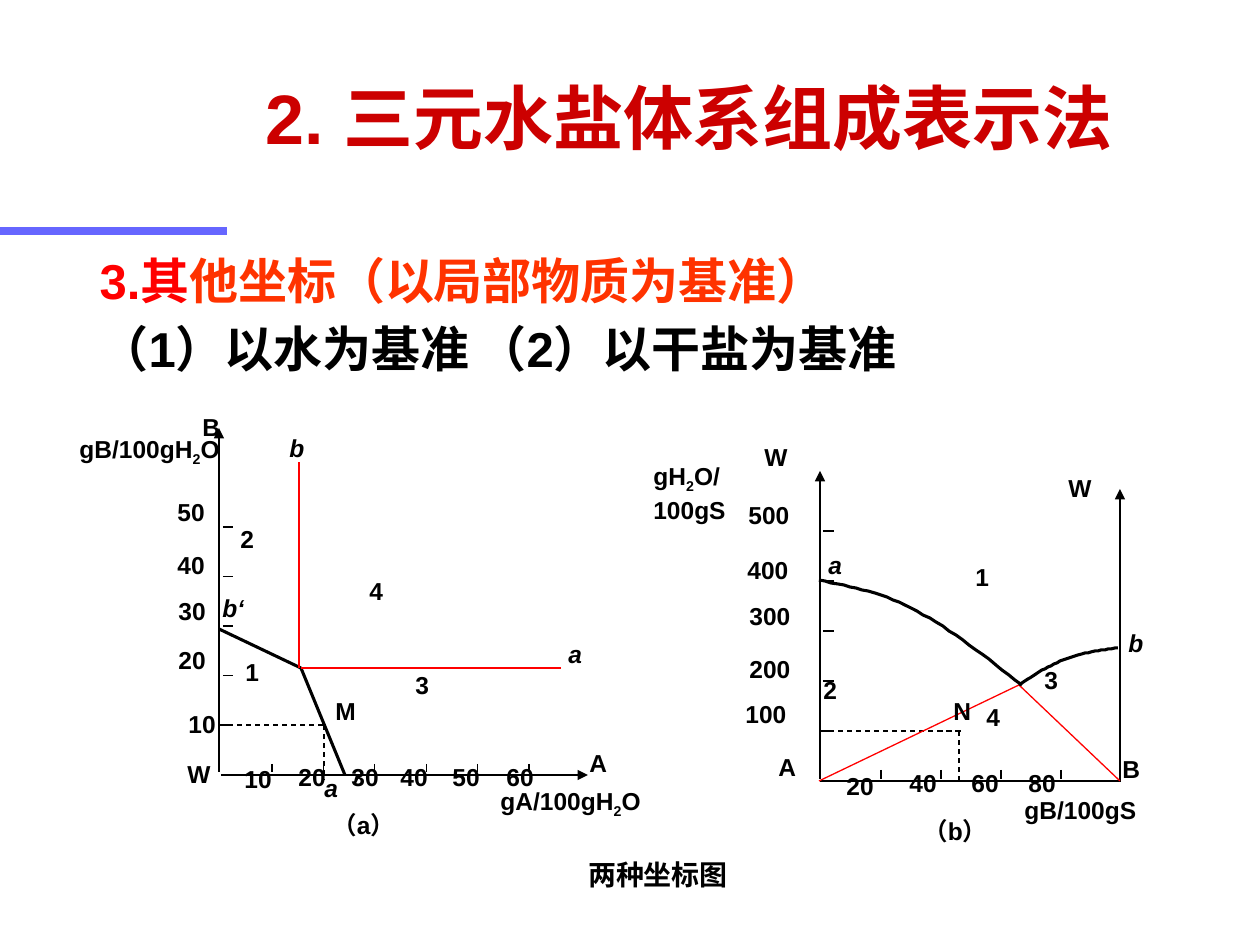
from lxml.etree import SubElement
from pptx import Presentation
from pptx.dml.color import RGBColor
from pptx.enum.dml import MSO_LINE_DASH_STYLE as Dash
from pptx.enum.shapes import MSO_CONNECTOR as Connector
from pptx.enum.text import MSO_ANCHOR as Anchor, MSO_AUTO_SIZE as AutoSize, PP_ALIGN as Align
from pptx.oxml.ns import qn
from pptx.util import Pt

SCALE = 914400 / 126  # EMU per px
THEME = {
    "font": "Arial", "title": "CC0000", "heading": "FF0000", "heading_tail": "FF3300",
    "ink": "000000", "guide": "FF0000", "accent": "6666FF",
    "title_size": 40, "body_size": 28, "caption_size": 16, "label_size": 14,
    "thin": 0.75, "curve": 1.75, "bar": 4.5,
}

# Content: text, with (left, top, width, height) in px
TITLE = ("2. 三元水盐体系组成表示法", (253, 38, 944, 158))
BODY_BOX = (87, 244, 1070, 168)
BODY = [
    [("3.其", "heading"), ("他坐标（以局部物质为基准）", "heading_tail")],
    [("（1）以水为基准\t（2）以干盐为基准", "ink")],
]
BODY_TAB = 447
CAPTION = ("两种坐标图", (537, 851, 242, 48))

# Labels: (text, left, top[, width]); _x_ marks a subscript
LABEL_SIZE = (80, 81)
LABELS = [
    # Diagram a: axes
    ("A", 577, 742), ("B", 190, 406), ("W", 175, 753),
    ("10", 232, 758), ("20", 286, 756), ("30", 339, 756),
    ("40", 388, 756), ("50", 440, 756), ("60", 494, 756),
    ("10", 176, 703), ("20", 166, 639), ("30", 166, 590),
    ("40", 165, 544), ("50", 165, 491),
    ("gA/100gH_2_O", 488, 780, 232), ("gB/100gH_2_O", 67, 428, 179),
    # Diagram a: fields and name
    ("M", 323, 690), ("1", 233, 651), ("2", 228, 518), ("4", 357, 570), ("3", 403, 664),
    ("（a）", 320, 804, 108),
    # Diagram b: axes
    ("A", 766, 746), ("B", 1110, 748), ("W", 752, 436), ("W", 1056, 467),
    ("20", 834, 765), ("40", 897, 762), ("60", 959, 762), ("80", 1016, 762),
    ("100", 733, 693), ("200", 737, 648), ("300", 737, 595),
    ("400", 735, 549), ("500", 736, 494),
    ("gB/100gS", 1012, 789, 179), ("gH_2_O/100gS", 641, 455, 139),
    # Diagram b: fields and name
    ("N", 941, 690), ("1", 963, 556), ("2", 811, 669), ("4", 974, 696), ("3", 1032, 659),
    ("（b）", 911, 810, 127),
]
CURVE_NAMES = [
    ("a", 556, 633), ("b", 277, 427), ("b‘", 210, 587), ("a＇", 312, 767),
    ("a", 816, 544), ("b", 1116, 622),
]

# Lines: (x1, y1, x2, y2)
ARROWS = [(221, 775, 588, 775), (219, 772, 219, 428),
          (820, 779, 820, 471), (1120, 781, 1120, 489)]
BASELINE = (820, 781, 1121, 781)
READINGS = [(219, 725, 326, 725), (324, 725, 324, 780),
            (820, 731, 961, 731), (959, 731, 959, 781)]
SOLUBILITY = [(219, 629, 301, 668), (301, 668, 345, 775)]
GUIDES = [(301, 668, 561, 668), (299, 668, 299, 462),
          (819, 781, 1019, 685), (1019, 685, 1120, 781)]

# Tick rows: x ticks (first x, step, count, top, bottom), y ticks (first y, step, count, left, right)
X_TICKS = [(272, 51.4, 6, 764, 772), (881, 60, 4, 770, 779)]
Y_TICKS = [(725, -49.5, 5, 223, 233), (731, -50, 5, 823, 834)]

# Curves: a start point and its Bézier segments
CURVES = [
    [(819, 580), [(852, 587), (885, 593), (917, 611)], [(951, 629), (987, 658), (1022, 685)]],
    [(1019, 685), [(1034, 675), (1050, 665), (1066, 659)], [(1082, 653), (1100, 650), (1118, 648)]],
]
CURVE_STEPS = 16


def px(value):
    return round(value * SCALE)


def place(shape, box):
    shape.left, shape.top, shape.width, shape.height = map(px, box)


def format_frame(frame, anchor=Anchor.TOP):
    for name, value in {"word_wrap": True, "auto_size": AutoSize.NONE,
                        "vertical_anchor": anchor}.items():
        setattr(frame, name, value)


def add_run(paragraph, text, size, color="ink", italic=False):
    run = paragraph.add_run()
    run.text = text
    values = {"name": THEME["font"], "size": Pt(THEME[size]), "bold": True, "italic": italic}
    for name, value in values.items():
        setattr(run.font, name, value)
    run.font.color.rgb = RGBColor.from_string(THEME[color])
    return run


def add_label(text, box, size="label_size", align=Align.JUSTIFY, italic=False):
    shape = slide.shapes.add_textbox(*map(px, box))
    format_frame(shape.text_frame)
    paragraph = shape.text_frame.paragraphs[0]
    paragraph.alignment = align
    for index, part in enumerate(text.split("_")):
        run = add_run(paragraph, part, size, italic=italic)
        if index % 2:
            run._r.get_or_add_rPr().set("baseline", "-25000")


def format_line(line, color, width):
    line.color.rgb = RGBColor.from_string(THEME[color])
    line.width = Pt(THEME[width])


def add_line(ends, color="ink", width="thin", dashed=False, arrow=False):
    connector = slide.shapes.add_connector(Connector.STRAIGHT, *map(px, ends))
    format_line(connector.line, color, width)
    if dashed:
        connector.line.dash_style = Dash.DASH
    if arrow:
        SubElement(connector.line._get_or_add_ln(), qn("a:tailEnd"), type="triangle")
    SubElement(connector._element.spPr, qn("a:effectLst"))


def bezier(points, t):
    weights = ((1 - t) ** 3, 3 * t * (1 - t) ** 2, 3 * t * t * (1 - t), t ** 3)
    return tuple(sum(w * p[axis] for w, p in zip(weights, points)) for axis in (0, 1))


def add_curve(start, *segments):
    builder = slide.shapes.build_freeform(*start, scale=SCALE)
    for segment in segments:
        points = [start, *segment]
        builder.add_line_segments(
            [bezier(points, step / CURVE_STEPS) for step in range(1, CURVE_STEPS + 1)], close=False)
        start = segment[-1]
    shape = builder.convert_to_shape()
    shape.shadow.inherit = False
    shape.fill.background()
    format_line(shape.line, "ink", "curve")


presentation = Presentation()
presentation.slide_width, presentation.slide_height = px(1260), px(945)
slide = presentation.slides.add_slide(presentation.slide_layouts[1])
title, body = slide.placeholders

# Title
text, box = TITLE
place(title, box)
format_frame(title.text_frame, Anchor.MIDDLE)
paragraph = title.text_frame.paragraphs[0]
paragraph.alignment = Align.LEFT
add_run(paragraph, text, "title_size", "title")

# Headings
add_line((0, 231, 227, 231), "accent", "bar")
place(body, BODY_BOX)
format_frame(body.text_frame)
for index, runs in enumerate(BODY):
    paragraph = body.text_frame.add_paragraph() if index else body.text_frame.paragraphs[0]
    paragraph.space_before = Pt(5.6 if index else 0)
    properties = paragraph._p.get_or_add_pPr()
    properties.set("marL", "0")
    properties.set("indent", "0")
    SubElement(properties, qn("a:buNone"))
    tabs = SubElement(properties, qn("a:tabLst"))
    SubElement(tabs, qn("a:tab"), pos=str(px(BODY_TAB)), algn="l")
    for text, color in runs:
        add_run(paragraph, text, "body_size", color)

# Axes and ticks
add_line(BASELINE)
for ends in ARROWS:
    add_line(ends, arrow=True)
for first, step, count, top, bottom in X_TICKS:
    for index in range(count):
        x = first + index * step
        add_line((x, top, x, bottom))
for first, step, count, left, right in Y_TICKS:
    for index in range(count):
        y = first + index * step
        add_line((left, y, right, y))

# Plotted lines and curves
for ends in READINGS:
    add_line(ends, dashed=True)
for ends in SOLUBILITY:
    add_line(ends, width="curve")
for ends in GUIDES:
    add_line(ends, "guide")
for curve in CURVES:
    add_curve(*curve)

# Labels and caption
for names, italic in ((LABELS, False), (CURVE_NAMES, True)):
    for text, left, top, *width in names:
        add_label(text, (left, top, *(width or LABEL_SIZE[:1]), LABEL_SIZE[1]), italic=italic)
add_label(*CAPTION, "caption_size", Align.CENTER)

presentation.save("out.pptx")
